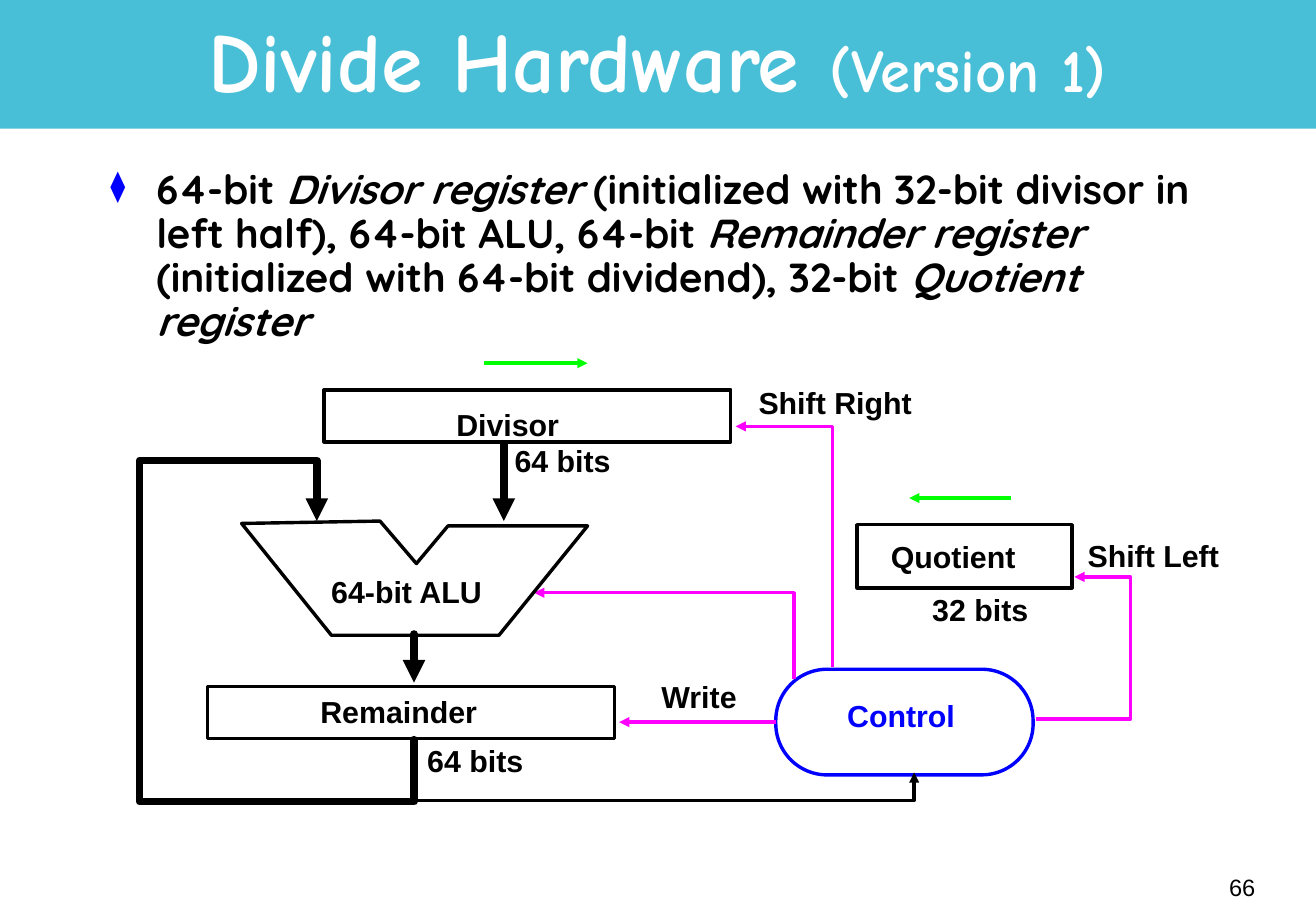
import pptx
import pptx.util
import pptx.dml.color
import pptx.enum.shapes
import pptx.enum.text
import pptx.oxml.ns
from lxml import etree

COLS, ROWS = 1084, 750
BLACK, WHITE, BLUE = "000000", "FFFFFF", "0000FF"
GREEN, MAGENTA, TEAL = "00FF00", "FF00FF", "49BFD7"
THIN, THICK = 2, 4.5
SHAPE = pptx.enum.shapes.MSO_SHAPE
ALIGN = pptx.enum.text.PP_ALIGN
ANCHOR = pptx.enum.text.MSO_ANCHOR
AUTO = pptx.enum.text.MSO_AUTO_SIZE


def rgb(value):
    """Turn a hex string into a colour."""
    return pptx.dml.color.RGBColor.from_string(value)


def add_xml(parent, tag, **attrs):
    """Append a drawing element to a parent element."""
    return etree.SubElement(parent, pptx.oxml.ns.qn(tag), attrs)


class Diagram:
    """Draws styled elements on one slide, placed by columns and rows."""

    def __init__(self, prs):
        """Open a title-only slide and set the cell size."""
        self.s = prs.slides.add_slide(prs.slide_layouts[5])
        self.w, self.h = prs.slide_width, prs.slide_height
        self.font = "Arial"

    def cell(self, col, row):
        """Convert a column and row to lengths on the slide."""
        return round(col * self.w / COLS), round(row * self.h / ROWS)

    def place(self, col, row, cols, rows):
        """Convert a grid area to left, top, width and height."""
        return *self.cell(col, row), *self.cell(cols, rows)

    def style_font(self, p, size, color, bold=True, name=None):
        """Style a whole paragraph."""
        p.font.name = name or self.font
        p.font.size = pptx.util.Pt(size)
        p.font.bold = bold
        p.font.color.rgb = rgb(color)

    def style_line(self, sp, color, width, arrow=False):
        """Style an outline, with an arrowhead at its end if asked."""
        sp.line.color.rgb = rgb(color)
        sp.line.width = pptx.util.Pt(width)
        ln = sp.line._get_or_add_ln()
        if width == THICK:
            ln.set("cap", "rnd")
        add_xml(ln, "a:round")
        if arrow:
            add_xml(ln, "a:tailEnd", type="triangle")

    def title(self, area, runs, color, font, band):
        """Set the title over a coloured band."""
        sp = self.s.shapes.title
        sp.left, sp.top, sp.width, sp.height = self.place(*area)
        tf = sp.text_frame
        tf.auto_size = AUTO.NONE
        tf.vertical_anchor = ANCHOR.MIDDLE
        p = tf.paragraphs[0]
        p.alignment = ALIGN.CENTER
        p.line_spacing = 0.85
        self.style_font(p, runs[0][1], color, name=font)
        for text, size in runs:
            r = p.add_run()
            r.text = text
            r.font.size = pptx.util.Pt(size)
        sp.element.addprevious(self.box(band, fill=TEAL).element)

    def bullet(self, area, runs, font):
        """Add a bulleted paragraph with alternating upright and italic runs."""
        tf = self.s.shapes.add_textbox(*self.place(*area)).text_frame
        tf.word_wrap = True
        p = tf.paragraphs[0]
        p.line_spacing = 0.9
        pPr = p._p.get_or_add_pPr()
        indent = pptx.util.Inches(0.38)
        pPr.set("marL", str(indent))
        pPr.set("indent", str(-indent))
        add_xml(add_xml(pPr, "a:buClr"), "a:srgbClr", val=BLUE)
        add_xml(pPr, "a:buSzPct", val="75000")
        add_xml(pPr, "a:buChar", char="⧫")
        self.style_font(p, 24, BLACK, name=font)
        for i, text in enumerate(runs):
            r = p.add_run()
            r.text = text
            r.font.italic = i % 2 == 1

    def label(self, text, area, color=BLACK, size=18, bold=True, align=ALIGN.LEFT):
        """Add a one-line label."""
        tf = self.s.shapes.add_textbox(*self.place(*area)).text_frame
        tf.word_wrap = False
        tf.vertical_anchor = ANCHOR.MIDDLE
        p = tf.paragraphs[0]
        p.text = text
        p.alignment = align
        self.style_font(p, size, color, bold)

    def box(self, area, kind=SHAPE.RECTANGLE, fill=WHITE, line=None):
        """Add a filled preset shape."""
        sp = self.s.shapes.add_shape(kind, *self.place(*area))
        sp.shadow.inherit = False
        sp.fill.solid()
        sp.fill.fore_color.rgb = rgb(fill)
        if line:
            self.style_line(sp, line, THIN)
        else:
            sp.line.fill.background()
        return sp

    def arrow(self, start, end, color, width=THIN):
        """Add a straight arrow."""
        cn = self.s.shapes.add_connector(
            pptx.enum.shapes.MSO_CONNECTOR.STRAIGHT, *self.cell(*start), *self.cell(*end))
        self.style_line(cn, color, width, arrow=True)
        add_xml(cn.element.spPr, "a:effectLst")
        return cn

    def outline(self, points, color, width=THIN, close=False):
        """Add a closed outline, or an open bent arrow."""
        first, *rest = [self.cell(*point) for point in points]
        builder = self.s.shapes.build_freeform(*first)
        builder.add_line_segments(rest, close=close)
        sp = builder.convert_to_shape()
        sp.shadow.inherit = False
        sp.fill.background()
        self.style_line(sp, color, width, arrow=not close)


def main():
    """Build the divide hardware slide."""
    prs = pptx.Presentation()
    prs.slide_width = pptx.util.Inches(10.84)
    prs.slide_height = pptx.util.Inches(7.5)
    d = Diagram(prs)

    d.title((81, 5, 921, 99), [("Divide Hardware ", 50), ("(Version 1)", 36)],
            WHITE, "Comic Neue", band=(0, 0, COLS, 106))
    d.bullet((81, 135, 921, 150), [
        "64-bit ", "Divisor register",
        " (initialized with 32-bit divisor in left half), 64-bit ALU, 64-bit ",
        "Remainder register", " (initialized with 64-bit dividend), 32-bit ",
        "Quotient register"], "Quicksand")

    for register in [(171, 565, 335, 43), (706, 432, 177, 52), (267, 321, 335, 43)]:
        d.box(register, line=BLACK)
    control = d.box((639, 551, 212, 87), SHAPE.ROUNDED_RECTANGLE, line=BLUE)
    control.adjustments[0] = 0.486

    for text, col, row, cols in [
            ("Remainder", 254, 566, 149), ("Quotient", 724, 438, 123),
            ("Divisor", 366, 329, 105), ("64-bit ALU", 263, 467, 145),
            ("Shift Right", 615, 311, 147), ("Shift Left", 886, 437, 129),
            ("Write", 535, 553, 83), ("32 bits", 758, 482, 99),
            ("64 bits", 414, 359, 99), ("64 bits", 342, 606, 99)]:
        d.label(text, (col, row, cols, 40))
    d.label("Control", (688, 569, 109, 40), BLUE)

    d.arrow((399, 299), (484, 299), GREEN)
    d.arrow((833, 410), (749, 410), GREEN)
    write = d.arrow((639, 594.5), (510, 594.5), MAGENTA)
    write.begin_connect(control, 1)
    for points in [
            [(853, 592), (931, 592), (931, 475), (885, 475)],
            [(686, 549), (686, 351), (606, 351)],
            [(654, 559), (654, 488), (440, 488)]]:
        d.outline(points, MAGENTA)

    d.outline([(199, 431), (273, 523), (411, 523), (484, 433),
               (369, 433), (343, 464), (313, 429)], BLACK, close=True)
    d.arrow((341, 522), (341, 562), BLACK, THICK)
    d.arrow((415, 366), (415, 429), BLACK, THICK)
    d.outline([(341, 609), (341, 660), (115, 660), (115, 379),
               (261, 379), (261, 429)], BLACK, THICK)
    d.outline([(342, 659), (753, 659), (753, 636)], BLACK)

    d.label("66", (818, 710, 226, 40), size=14, bold=False, align=ALIGN.RIGHT)
    prs.save("out.pptx")


if __name__ == "__main__":
    main()
